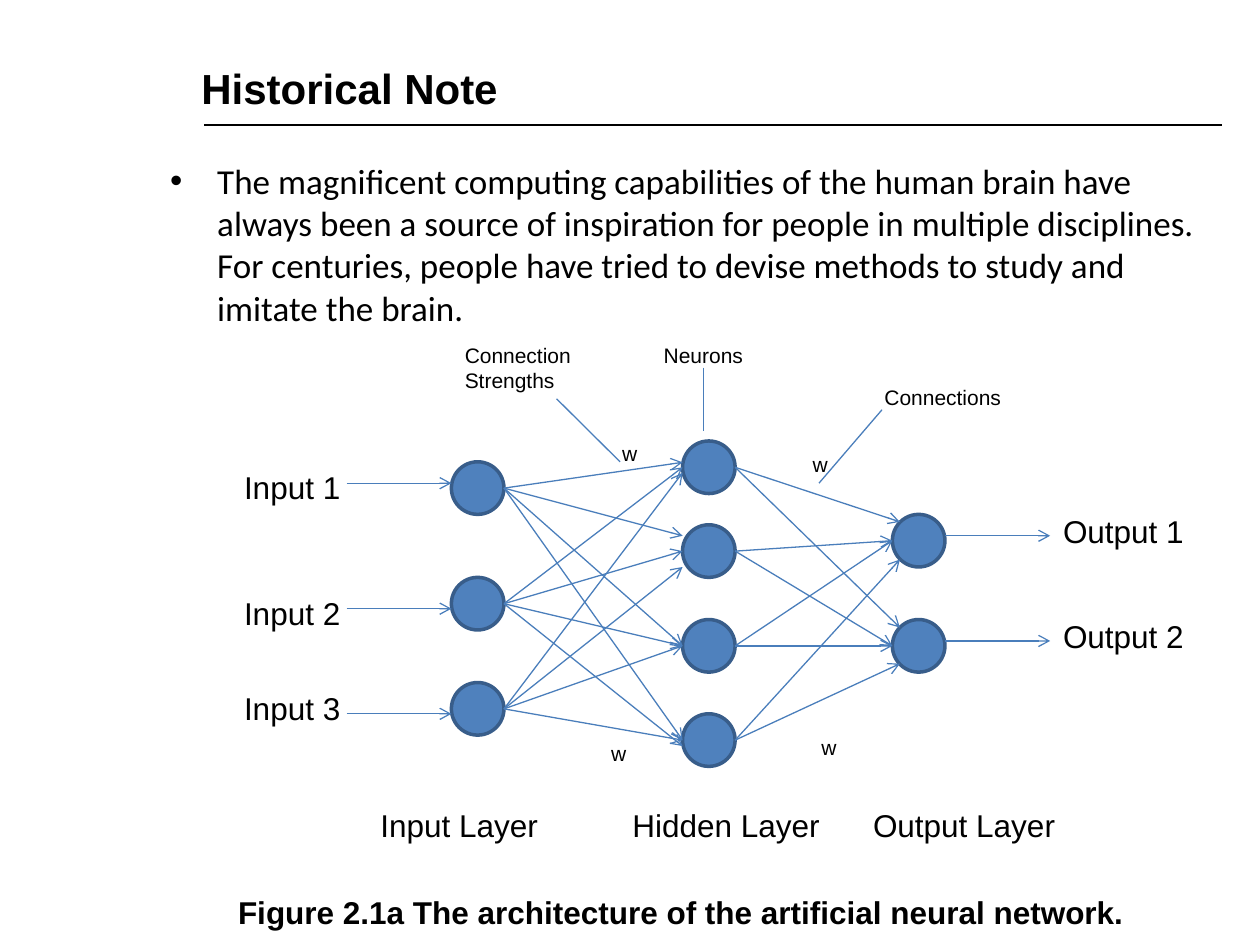
from lxml.etree import SubElement
from pptx import Presentation
from pptx.dml.color import RGBColor
from pptx.enum.shapes import MSO_CONNECTOR, MSO_SHAPE
from pptx.enum.text import MSO_ANCHOR as Anchor, MSO_AUTO_SIZE as AutoSize
from pptx.oxml.ns import qn
from pptx.util import Cm, Pt

BLACK, NODE_FILL, NODE_EDGE, LINK = "000000", "4F81BD", "385D8A", "4A7EBB"
DIAMETER = 1.06


def paint(target, colour):
    target.rgb = RGBColor.from_string(colour)


def apply(target, values):
    for name, value in values.items():
        setattr(target, name, value)


class NetworkSlide:
    font = {"name": "Arial", "size": Pt(18), "bold": False}
    label = {"word_wrap": False, "auto_size": AutoSize.SHAPE_TO_FIT_TEXT}
    block = {"word_wrap": True, "auto_size": AutoSize.NONE}

    def __init__(self, slide):
        self.shapes = slide.shapes

    def text(self, wording, x, y, width, height=1.02, frame=label, **font):
        box = self.shapes.add_textbox(Cm(x), Cm(y), Cm(width), Cm(height))
        apply(box.text_frame, frame)
        box.text_frame.text = wording
        for paragraph in box.text_frame.paragraphs:
            apply(paragraph.font, {**self.font, **font})
            paint(paragraph.font.color, BLACK)
        return box.text_frame.paragraphs[0]

    def bullet(self, wording, x, y, width, height, **font):
        paragraph = self.text(wording, x, y, width, height, self.block, **font)
        paragraph.space_before = Pt(5)
        properties = paragraph._p.get_or_add_pPr()
        properties.set("marL", str(Cm(0.95)))
        properties.set("indent", str(Cm(-0.95)))
        SubElement(properties, qn("a:buFont"), typeface="Arial")
        SubElement(properties, qn("a:buChar"), char="•")

    def neuron(self, x, y):
        circle = self.shapes.add_shape(
            MSO_SHAPE.OVAL, Cm(x), Cm(y), Cm(DIAMETER), Cm(DIAMETER))
        circle.shadow.inherit = False
        circle.fill.solid()
        paint(circle.fill.fore_color, NODE_FILL)
        paint(circle.line.color, NODE_EDGE)
        circle.line.width = Pt(2)

    def line(self, x1, y1, x2, y2, colour=LINK, arrow=False):
        link = self.shapes.add_connector(
            MSO_CONNECTOR.STRAIGHT, Cm(x1), Cm(y1), Cm(x2), Cm(y2))
        paint(link.line.color, colour)
        link.line.width = Pt(0.75)
        if arrow:
            SubElement(link.line._ln, qn("a:tailEnd"), type="arrow")
        SubElement(link._element.spPr, qn("a:effectLst"))

    def arrow(self, *ends):
        self.line(*ends, arrow=True)


def main():
    deck = Presentation()
    deck.slide_width, deck.slide_height = Cm(25.4), Cm(19.05)
    page = NetworkSlide(deck.slides.add_slide(deck.slide_layouts[6]))

    page.text("Historical Note", 3.81, 0.18, 21.5, 3.18,
              {**page.block, "vertical_anchor": Anchor.MIDDLE},
              size=Pt(24), bold=True)
    page.bullet(
        "The magnificent computing capabilities of the human brain have always "
        "been a source of inspiration for people in multiple disciplines. For "
        "centuries, people have tried to devise methods to study and imitate "
        "the brain.", 3.18, 3.1, 21.84, 12.57, name="Calibri", size=Pt(20))
    page.line(4.12, 2.52, 24.64, 2.52, BLACK)

    input_x, hidden_x, output_x = 9.1, 13.76, 17.99
    layers = {
        input_x: (9.31, 11.64, 13.76),
        hidden_x: (8.89, 10.58, 12.49, 14.39),
        output_x: (10.37, 12.49),
    }
    for x, tops in layers.items():
        for top in tops:
            page.neuron(x, top)

    hidden_entries = (
        (9.32, 10.8, 13.02, 14.92),
        (9.42, 11.11, 13.02, 15.04),
        (9.53, 11.43, 13.02, 14.92),
    )
    for top, entries in zip(layers[input_x], hidden_entries):
        for entry in entries:
            page.arrow(input_x + DIAMETER, top + DIAMETER / 2, hidden_x, entry)

    output_entries = (
        (18.14, 10.52, 12.65),
        (output_x, 10.9, 13.02),
        (output_x, 10.9, 13.02),
        (18.14, 11.28, 13.38),
    )
    for top, (x, *entries) in zip(layers[hidden_x], output_entries):
        for entry in entries:
            page.arrow(hidden_x + DIAMETER, top + DIAMETER / 2, x, entry)

    inputs = ((9.32, 9.74), (11.86, 12.27), (13.76, 14.39))
    for number, (label_y, arrow_y) in enumerate(inputs, 1):
        page.text(f"Input {number}", 4.67, label_y, 2.6)
        page.arrow(6.99, arrow_y, input_x, arrow_y)

    outputs = ((10.19, 10.8), (12.31, 12.92))
    for number, (label_y, arrow_y) in enumerate(outputs, 1):
        page.text(f"Output {number}", 21.18, label_y, 3.05)
        page.arrow(19.05, arrow_y, 21.17, arrow_y)

    for pointer in ((11.22, 8.04, 12.5, 9.31),
                    (16.51, 9.74, 17.78, 8.26),
                    (14.18, 7.41, 14.18, 8.68)):
        page.line(*pointer)

    callouts = (
        ("Connection\nStrengths", 9.12, 6.78, 2.8, 1.78),
        ("Neurons", 13.13, 6.78, 2.2, 0.76),
        ("Connections", 17.58, 7.62, 3, 0.76),
    )
    for callout in callouts:
        page.text(*callout, size=Pt(12))
    for x, y in ((12.29, 8.76), (16.13, 8.97), (12.07, 14.81), (16.31, 14.68)):
        page.text("w", x, y, 0.85, 0.76, size=Pt(12))

    for name, x, width in (("Input", 7.42, 3.8), ("Hidden", 12.5, 4.45),
                           ("Output", 17.35, 4.3)):
        page.text(f"{name} Layer", x, 16.13, width)
    page.text("Figure 2.1a The architecture of the artificial neural network.",
              4.55, 17.88, 18.5, bold=True)

    deck.save("out.pptx")


if __name__ == "__main__":
    main()
